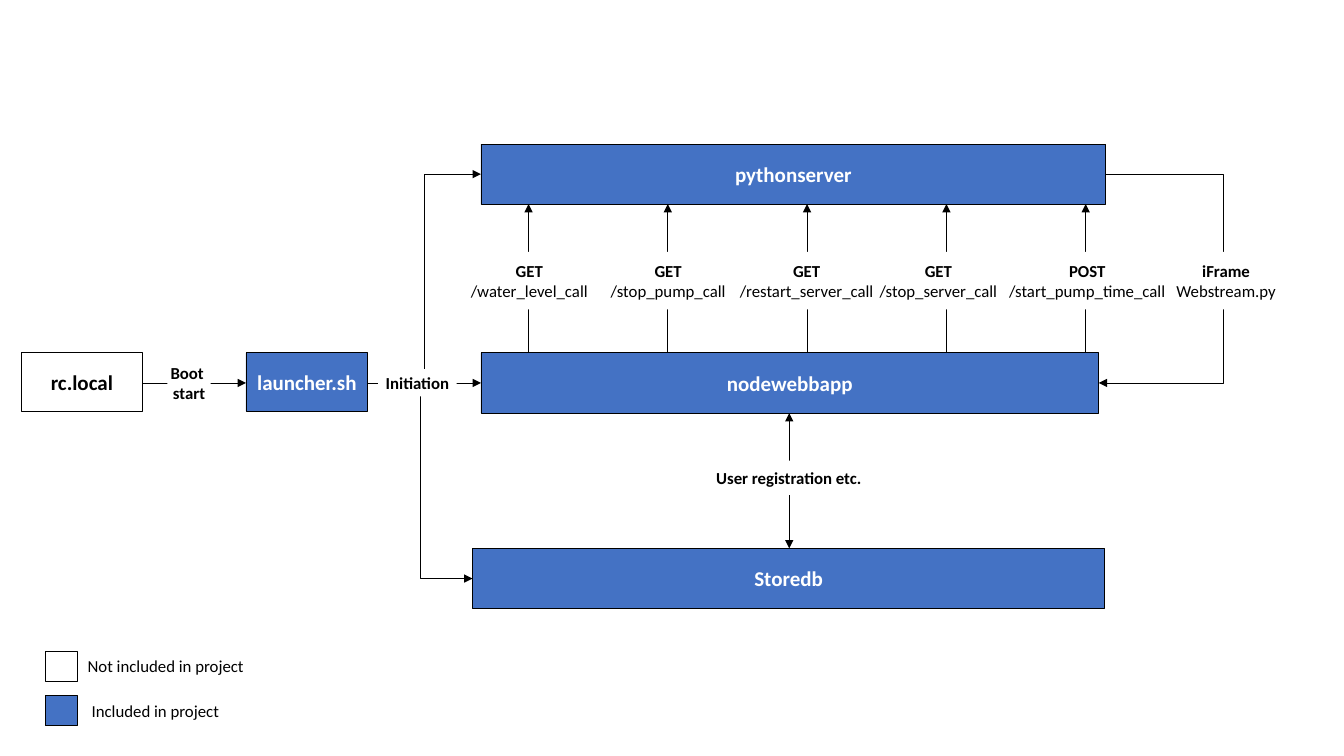
from pptx import Presentation
from pptx.dml.color import RGBColor
from pptx.enum.shapes import MSO_CONNECTOR as LINK, MSO_SHAPE as SHAPE
from pptx.enum.text import MSO_ANCHOR as ANCHOR, PP_ALIGN as ALIGN
from pptx.oxml.ns import qn
from pptx.util import Cm, Pt
from lxml.etree import SubElement

COLORS = {"included": "4472C4", "outside": "FFFFFF", "paper": "FFFFFF",
          "ink": "000000", "light": "FFFFFF"}


def color(name):
    return RGBColor.from_string(COLORS[name])


def write(shape, text, size=12, ink="ink", bold_lines=1, align=ALIGN.CENTER):
    """Fill a shape with lines of text, the first bold_lines of them bold."""
    frame = shape.text_frame
    frame.word_wrap = True
    frame.vertical_anchor = ANCHOR.MIDDLE
    frame.margin_left = frame.margin_right = frame.margin_top = frame.margin_bottom = 0
    for i, line in enumerate(text.split("\n")):
        paragraph = frame.paragraphs[0] if i == 0 else frame.add_paragraph()
        paragraph.alignment = align
        run = paragraph.add_run()
        run.text = line
        run.font.name = "Calibri"
        run.font.size = Pt(size)
        run.font.bold = i < bold_lines
        run.font.color.rgb = color(ink)


class Diagram:
    line_width = Pt(0.5)

    def __init__(self, slide):
        self.shapes = slide.shapes

    def box(self, left, top, width, height, fill, outlined=True):
        shape = self.shapes.add_shape(SHAPE.RECTANGLE, Cm(left), Cm(top), Cm(width), Cm(height))
        shape.shadow.inherit = False
        shape.fill.solid()
        shape.fill.fore_color.rgb = color(fill)
        if outlined:
            shape.line.color.rgb = color("ink")
            shape.line.width = self.line_width
        else:
            shape.line.fill.background()
        return shape

    def component(self, name, left, top, width, height, kind="included"):
        ink = "light" if kind == "included" else "ink"
        write(self.box(left, top, width, height, kind), name, size=15, ink=ink)

    def label(self, text, left, top, width, height, **style):
        write(self.box(left, top, width, height, "paper", outlined=False), text, **style)

    def arrow(self, start, end, both=False, bent=False, bend_x=None):
        kind = LINK.ELBOW if bent else LINK.STRAIGHT
        link = self.shapes.add_connector(kind, *map(Cm, start + end))
        link.line.color.rgb = color("ink")
        link.line.width = self.line_width
        properties = link._element.spPr
        if bend_x is not None:
            share = (bend_x - start[0]) / (end[0] - start[0])
            guides = properties.find(qn("a:prstGeom")).get_or_add_avLst()
            SubElement(guides, qn("a:gd"), name="adj1", fmla=f"val {round(share * 100000)}")
        outline = properties.find(qn("a:ln"))
        for end_tag in ("a:headEnd", "a:tailEnd") if both else ("a:tailEnd",):
            SubElement(outline, qn(end_tag), type="triangle")
        SubElement(properties, qn("a:effectLst"))


prs = Presentation()
prs.slide_width, prs.slide_height = Cm(33.87), Cm(19.05)
diagram = Diagram(prs.slides.add_slide(prs.slide_layouts[6]))

# Components
diagram.component("nodewebbapp", 12.12, 8.89, 15.57, 1.52)
diagram.component("pythonserver", 12.12, 3.63, 15.75, 1.52)
diagram.component("Storedb", 11.91, 13.82, 15.93, 1.52)
diagram.component("launcher.sh", 6.2, 8.89, 3.07, 1.47)
diagram.component("rc.local", 0.53, 8.89, 3.07, 1.47, kind="outside")

# Boot and initiation
launcher_out = (9.27, 9.65)
diagram.arrow((3.6, 9.65), (6.2, 9.65))
diagram.arrow(launcher_out, (12.12, 9.65))
diagram.arrow(launcher_out, (12.12, 4.39), bent=True)
diagram.arrow(launcher_out, (11.91, 14.58), bent=True)
diagram.label("Initiation", 9.53, 9.3, 1.98, 0.69)
diagram.label("Boot \nstart", 4.22, 9.3, 1.09, 0.69, bold_lines=2)

# Registration between web app and database
diagram.arrow((19.89, 10.41), (19.89, 13.82), both=True)
diagram.label("User registration etc.", 17.91, 11.61, 3.94, 0.86)

# Calls from web app to server, and the stream back
for i in range(5):
    call_x = 13.32 + 3.51 * i
    diagram.arrow((call_x, 8.89), (call_x, 5.14))
diagram.arrow((27.87, 4.39), (27.69, 9.65), bent=True, bend_x=30.84)

CALLS = [  # text, left, width
    ("GET\n/water_level_call", 11.79, 3.1),
    ("GET\n/stop_pump_call", 15.29, 3.1),
    ("GET\n/restart_server_call", 18.36, 3.94),
    ("GET\n/stop_server_call", 22.1, 3.1),
    ("POST\n/start_pump_time_call", 25.15, 4.5),
    ("iFrame\nWebstream.py", 29.54, 2.72),
]
for call, left, width in CALLS:
    diagram.label(call, left, 6.35, width, 1.45)

# Legend
LEGEND = [("Not included in project", "outside", 2.21, 16.41),
          ("Included in project", "included", 2.31, 17.53)]
for meaning, kind, text_left, top in LEGEND:
    diagram.box(1.14, top, 0.81, 0.76, kind)
    diagram.label(meaning, text_left, top, 4.5, 0.76, bold_lines=0, align=ALIGN.LEFT)

prs.save("out.pptx")
